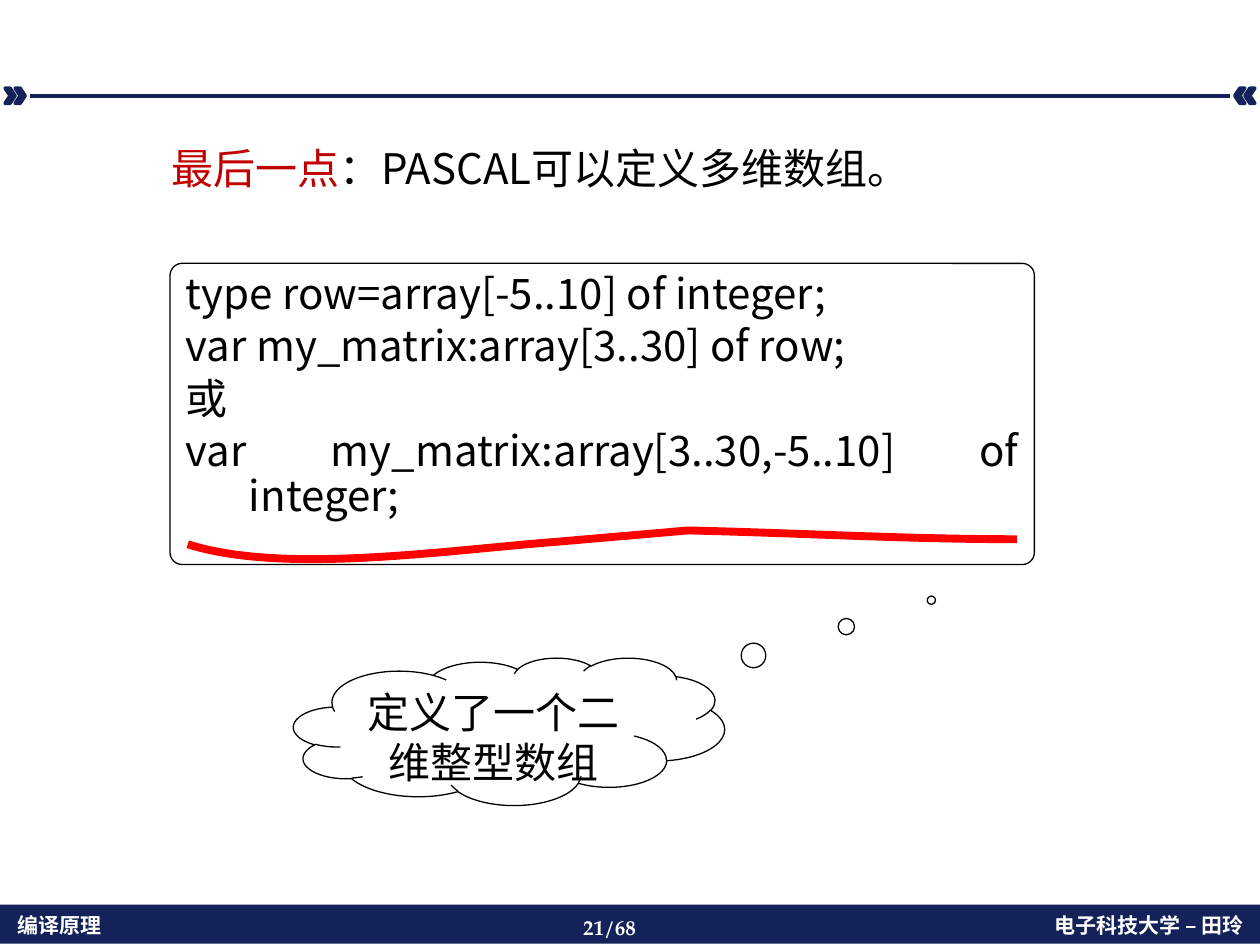
from pptx import Presentation
from pptx.dml.color import RGBColor
from pptx.enum.shapes import MSO_CONNECTOR, MSO_SHAPE
from pptx.enum.text import MSO_ANCHOR, PP_ALIGN
from pptx.oxml.ns import qn
from pptx.util import Inches, Pt
from lxml.etree import SubElement

NAVY = RGBColor(0x13, 0x22, 0x59)
WHITE = RGBColor(0xFF, 0xFF, 0xFF)
BLACK = RGBColor(0, 0, 0)
CRIMSON = RGBColor(0xC0, 0, 0)
RED = RGBColor(0xFF, 0, 0)
SANS = "Noto Sans CJK SC"
SERIF = "TeX Gyre Pagella"

CODE = [
    "type row=array[-5..10] of integer;",
    "var my_matrix:array[3..30] of row;",
    "或",
    "var my_matrix:array[3..30,-5..10] of integer;",
]
UNDERLINE = [
    (1.49, 4.32), (2.25, 4.56), (3.51, 4.37), (4.42, 4.3),
    (4.77, 4.27), (5.46, 4.21), (5.46, 4.21),
    (6.33, 4.23), (7.2, 4.28), (8.07, 4.28),
]


def format_run(r, size, color, name=SANS, bold=False):
    r.font.size = Pt(size)
    r.font.bold = bold
    r.font.color.rgb = color
    r.font.name = name
    SubElement(r.font._element, qn("a:ea")).set("typeface", name)


def add_shape(shapes, kind, box, fill=None, line=None, width=0.75):
    sp = shapes.add_shape(kind, *map(Inches, box))
    sp.shadow.inherit = False
    if fill is None:
        sp.fill.background()
    else:
        sp.fill.solid()
        sp.fill.fore_color.rgb = fill
    if line is None:
        sp.line.fill.background()
    else:
        sp.line.color.rgb = line
        sp.line.width = Pt(width)
    return sp


def add_footer_text(s, box, text, name=SANS, align=PP_ALIGN.LEFT):
    tf = s.shapes.add_textbox(*map(Inches, box)).text_frame
    tf.word_wrap = True
    p = tf.paragraphs[0]
    p.text = text
    p.alignment = align
    format_run(p.runs[0], 12, WHITE, name, True)


def add_header_rule(s):
    shapes = s.shapes.add_group_shape().shapes
    for x, flipped in [(0.04, False), (0.12, False), (9.88, True), (9.8, True)]:
        sp = add_shape(shapes, MSO_SHAPE.CHEVRON, (x, 0.7, 0.08, 0.12), NAVY, NAVY, 2)
        if flipped:
            sp._element.spPr.find(qn("a:xfrm")).set("flipH", "1")
    rule = shapes.add_connector(
        MSO_CONNECTOR.STRAIGHT, Inches(0.24), Inches(0.76), Inches(9.76), Inches(0.76))
    rule.line.color.rgb = NAVY
    rule.line.width = Pt(2)
    SubElement(rule._element.spPr, qn("a:effectLst"))


def add_title(s):
    sp = add_shape(s.shapes, MSO_SHAPE.ROUNDED_RECTANGLE, (0.25, 1.12, 9.25, 0.73))
    sp.adjustments[0] = 0.05
    tf = sp.text_frame
    tf.vertical_anchor = MSO_ANCHOR.TOP
    tf.margin_left = Inches(1.1)
    p = tf.paragraphs[0]
    p.alignment = PP_ALIGN.LEFT
    p.line_spacing = 0.9
    for text, color in [("最后一点", CRIMSON), ("：PASCAL可以定义多维数组。", BLACK)]:
        r = p.add_run()
        r.text = text
        format_run(r, 24, color)


def add_code_box(s):
    sp = add_shape(s.shapes, MSO_SHAPE.ROUNDED_RECTANGLE, (1.35, 2.09, 6.86, 2.39), line=BLACK)
    sp.adjustments[0] = 0.04
    tf = sp.text_frame
    tf.vertical_anchor = MSO_ANCHOR.TOP
    tf.text = "\n".join(CODE)
    for i, p in enumerate(tf.paragraphs):
        p.alignment = PP_ALIGN.JUSTIFY
        p.line_spacing = 0.9
        if i:
            p.space_before = Pt(4)
        pPr = p._p.get_or_add_pPr()
        pPr.set("marL", str(Inches(0.5)))
        pPr.set("indent", str(-Inches(0.5)))
        format_run(p.runs[0], 24, BLACK)


def add_thought(s):
    sp = add_shape(s.shapes, MSO_SHAPE.CLOUD_CALLOUT, (2.33, 5.22, 3.42, 1.17), line=BLACK)
    sp.adjustments[0] = 0.98
    sp.adjustments[1] = -0.89
    tf = sp.text_frame
    tf.vertical_anchor = MSO_ANCHOR.TOP
    p = tf.paragraphs[0]
    p.text = "定义了一个二维整型数组"
    p.alignment = PP_ALIGN.CENTER
    format_run(p.runs[0], 24, BLACK)


def add_curve(s, points, color, width):
    start, *rest = [(Inches(x), Inches(y)) for x, y in points]
    builder = s.shapes.build_freeform(*start)
    builder.add_line_segments(rest, close=False)
    sp = builder.convert_to_shape()
    sp.shadow.inherit = False
    sp.fill.background()
    sp.line.color.rgb = color
    sp.line.width = Pt(width)
    path = next(sp._element.iter(qn("a:path")))
    segments = path.findall(qn("a:lnTo"))
    for i in range(0, len(segments), 3):
        curve = SubElement(path, qn("a:cubicBezTo"))
        for segment in segments[i:i + 3]:
            curve.append(segment[0])
            path.remove(segment)


def main():
    prs = Presentation()
    prs.slide_width, prs.slide_height = Inches(10), Inches(7.5)
    s = prs.slides.add_slide(prs.slide_layouts[6])
    add_shape(s.shapes, MSO_SHAPE.RECTANGLE, (0, 7.18, 10, 0.31), NAVY)
    add_footer_text(s, (0.04, 7.19, 2.94, 0.3), "编译原理")
    add_header_rule(s)
    add_footer_text(s, (6.98, 7.19, 2.99, 0.3), "电子科技大学 – 田玲", align=PP_ALIGN.RIGHT)
    add_footer_text(s, (4.53, 7.21, 0.94, 0.3), "21/68", SERIF)
    add_title(s)
    add_code_box(s)
    add_thought(s)
    add_curve(s, UNDERLINE, RED, 4.5)
    prs.save("out.pptx")


if __name__ == "__main__":
    main()
